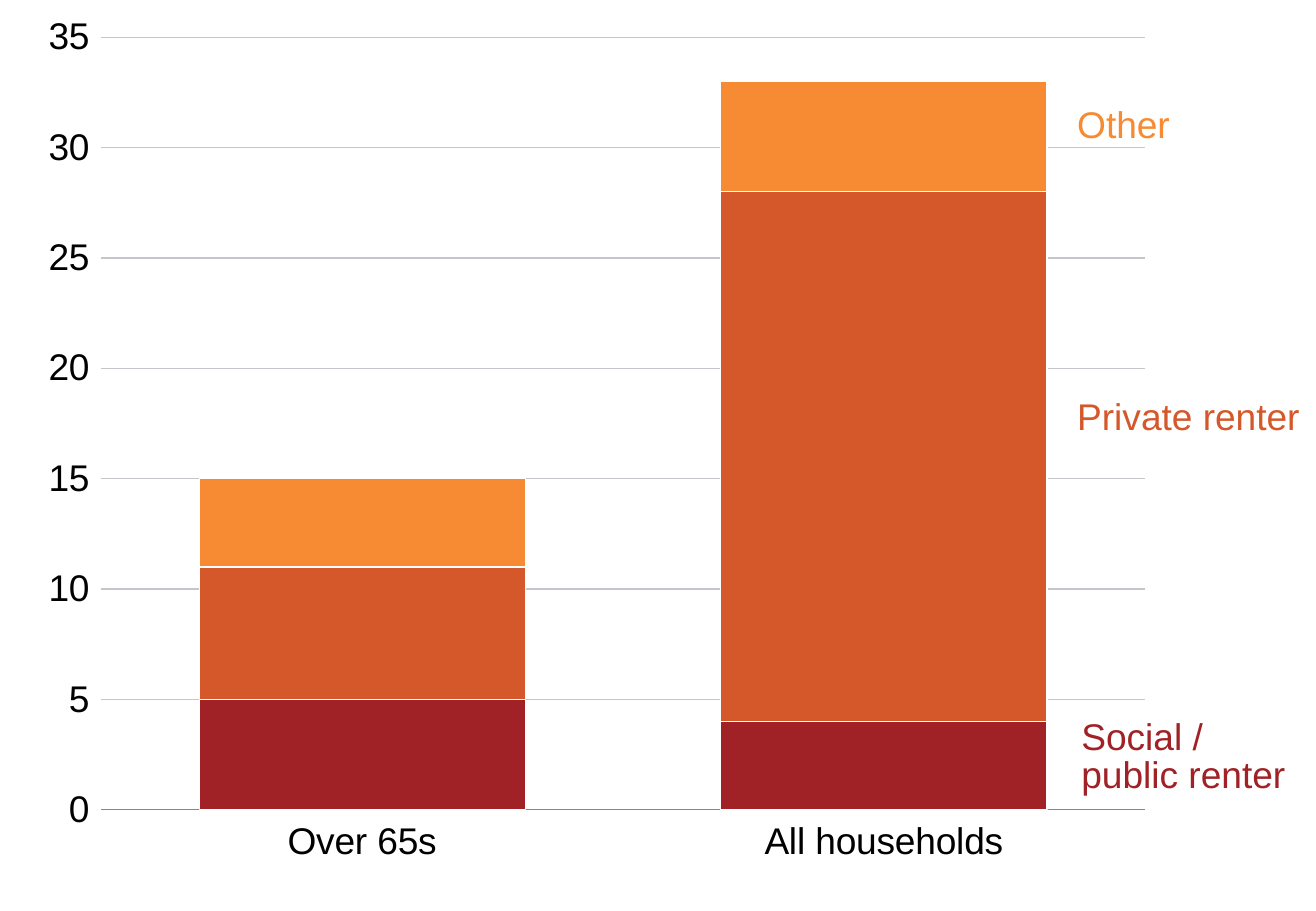
from dataclasses import dataclass

from lxml import etree
from pptx import Presentation
from pptx.chart.data import CategoryChartData
from pptx.dml.color import RGBColor
from pptx.enum.chart import XL_CHART_TYPE, XL_TICK_LABEL_POSITION, XL_TICK_MARK
from pptx.enum.text import MSO_AUTO_SIZE
from pptx.oxml.ns import qn
from pptx.util import Pt

STACKED = XL_CHART_TYPE.COLUMN_STACKED
LOW = XL_TICK_LABEL_POSITION.LOW
NO_TICK, OUT_TICK = XL_TICK_MARK.NONE, XL_TICK_MARK.OUTSIDE
GROW = MSO_AUTO_SIZE.SHAPE_TO_FIT_TEXT


@dataclass
class Theme:
    font: str = "Arial"
    size: int = 22
    line: float = 0.75
    black: str = "000000"
    white: str = "FFFFFF"
    grid: str = "C3C7CB"
    axis: str = "868686"
    social: str = "A02226"
    private: str = "D4582A"
    other: str = "F68B33"


theme = Theme()


def style(font, color):
    font.name = theme.font
    font.size = Pt(theme.size)
    font.color.rgb = RGBColor.from_string(color)


def stroke(line, color):
    line.width = Pt(theme.line)
    line.color.rgb = RGBColor.from_string(color)


# Slide
deck = Presentation()
deck.slide_width, deck.slide_height = Pt(780), Pt(540)
slide = deck.slides.add_slide(deck.slide_layouts[6])

# Tenures from bottom to top: label, values, colour, label left and top, height
tenures = [
    ("Social /\npublic renter", (5, 4), theme.social, 641, 427, 45),
    ("Private renter", (6, 24), theme.private, 638.5, 237, 22.5),
    ("Other", (4, 5), theme.other, 638.5, 64, 22.5),
]

# Stacked columns
data = CategoryChartData()
data.categories = ["Over 65s", "All households"]
for label, values, *_ in tenures:
    data.add_series(label.replace("\n", " "), values)
frame = slide.shapes.add_chart(STACKED, 0, 0, Pt(715), Pt(540), data)
chart = frame.chart
chart.has_legend = False
chart.has_title = False
style(chart.font, theme.black)

plot = chart.plots[0]
plot.gap_width = 60
plot.overlap = 100
plot.vary_by_categories = False
for bars, (_, _, color, *_) in zip(plot.series, tenures):
    bars.format.fill.solid()
    bars.format.fill.fore_color.rgb = RGBColor.from_string(color)
    stroke(bars.format.line, theme.white)

# Axes
groups = chart.category_axis
groups.tick_label_position = LOW
groups.major_tick_mark = NO_TICK
stroke(groups.format.line, theme.axis)

scale = chart.value_axis
scale.minimum_scale, scale.maximum_scale = 0, 35
scale.major_unit = 5
scale.major_tick_mark = OUT_TICK
scale.tick_labels.number_format = "#,##0"
scale.tick_labels.number_format_is_linked = False
scale.format.line.fill.background()
stroke(scale.major_gridlines.format.line, theme.grid)

for axis in (groups, scale):
    style(axis.tick_labels.font, theme.black)

# Fixed place of the plot area, as shares of the chart
area = chart.element.find(".//" + qn("c:plotArea"))
for old in area.findall(qn("c:layout")):
    area.remove(old)
layout = etree.Element(qn("c:layout"))
area.insert(0, layout)
manual = etree.SubElement(layout, qn("c:manualLayout"))
place = {
    "layoutTarget": "inner", "xMode": "edge", "yMode": "edge",
    "x": 0.084, "y": 0.041, "w": 0.865, "h": 0.848,
}
for key, value in place.items():
    etree.SubElement(manual, qn("c:" + key)).set("val", str(value))

# Labels beside the right column
for label, _, color, left, top, height in tenures:
    box = slide.shapes.add_textbox(Pt(left), Pt(top), Pt(780 - left), Pt(height))
    text = box.text_frame
    text.word_wrap = True
    text.auto_size = GROW
    text.margin_left = text.margin_right = text.margin_top = text.margin_bottom = 0
    text.text = label
    for para in text.paragraphs:
        para.line_spacing = 0.85
        for run in para.runs:
            style(run.font, color)

deck.save("out.pptx")
